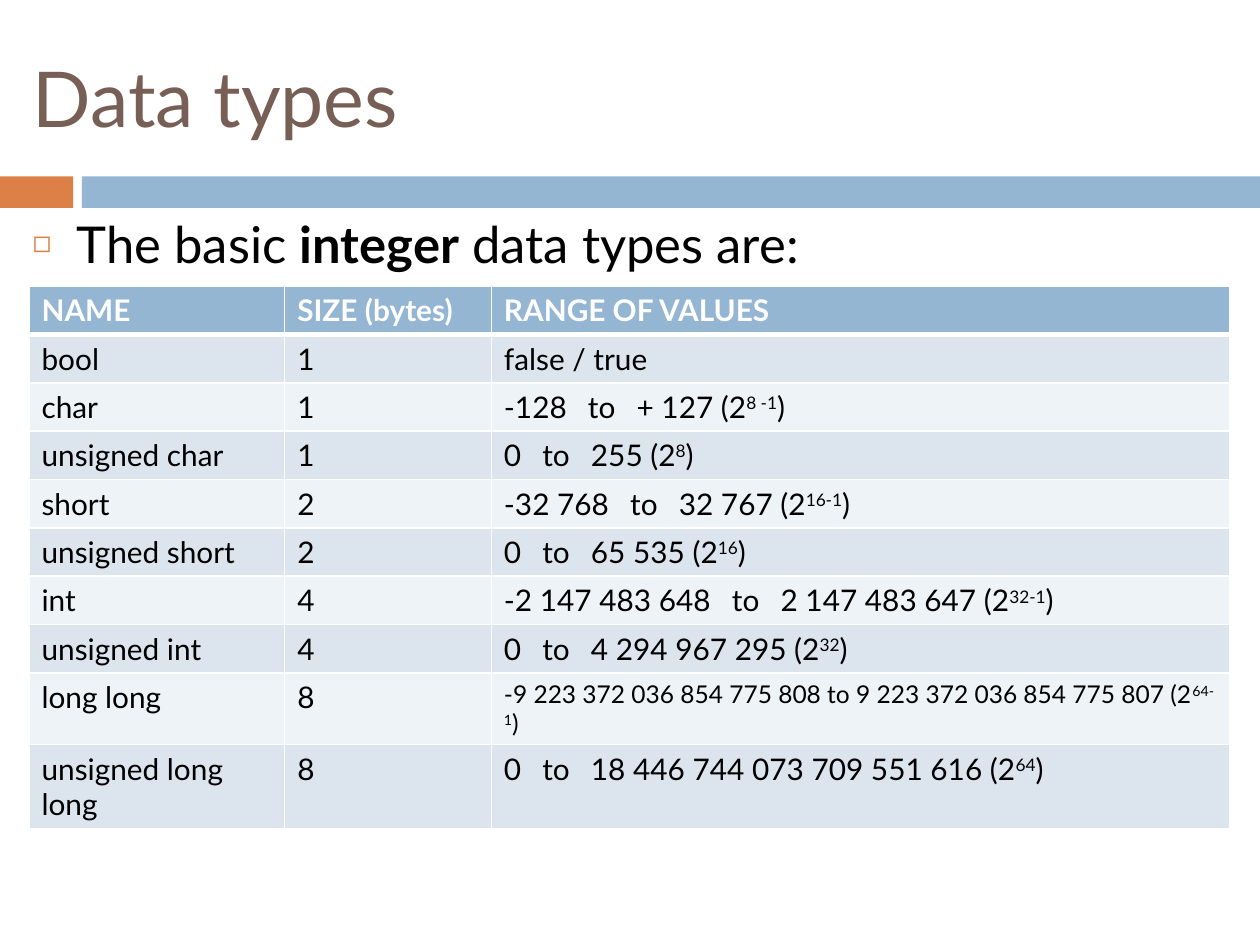
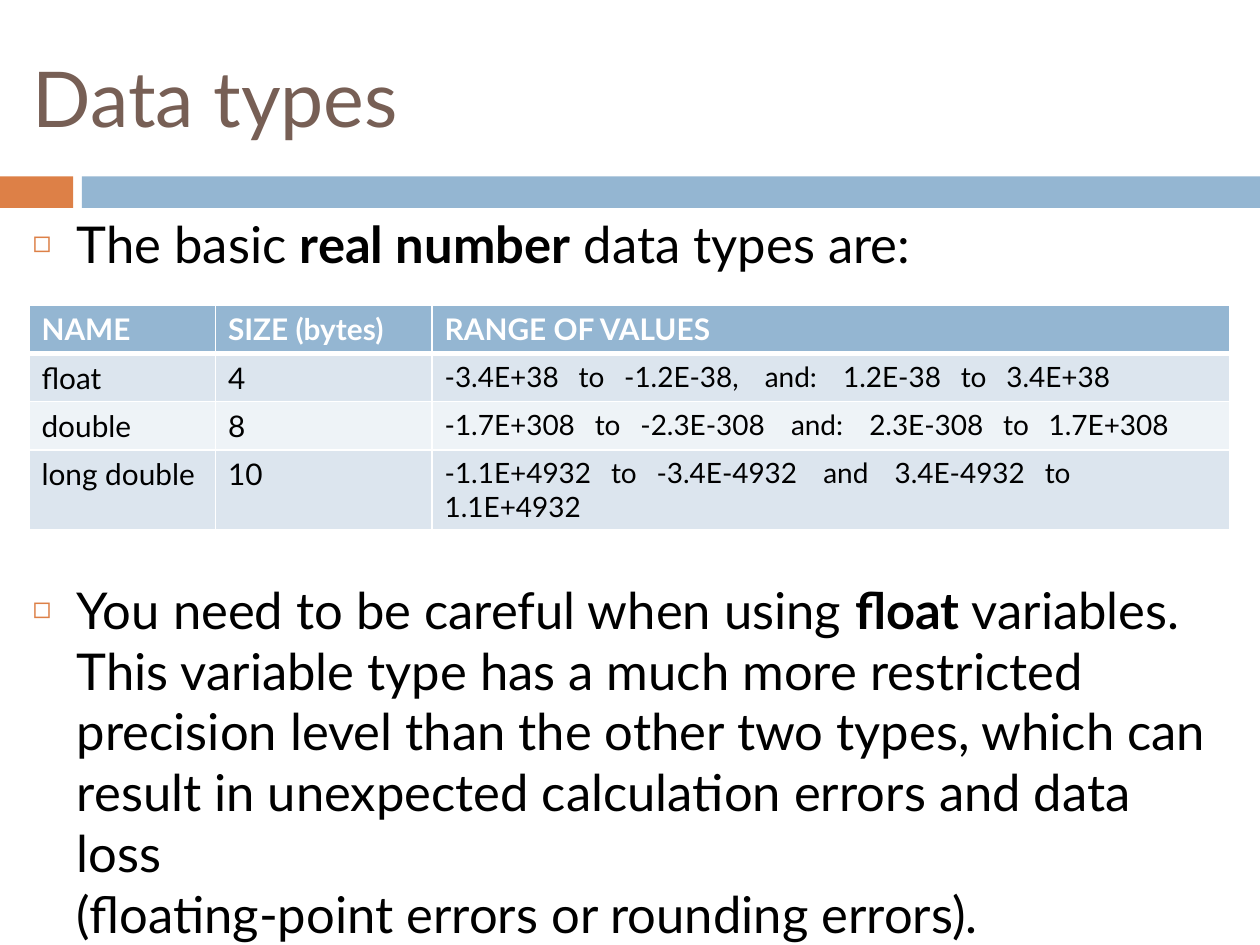
from lxml import etree
from pptx import Presentation
from pptx.dml.color import RGBColor
from pptx.enum.shapes import MSO_SHAPE
from pptx.enum.text import MSO_ANCHOR, MSO_AUTO_SIZE, PP_ALIGN
from pptx.oxml.ns import qn
from pptx.util import Inches, Pt

RECTANGLE = MSO_SHAPE.RECTANGLE
TOP, MIDDLE = MSO_ANCHOR.TOP, MSO_ANCHOR.MIDDLE
LEFT = PP_ALIGN.LEFT
NO_AUTOFIT = MSO_AUTO_SIZE.NONE

FONT = "Lato"
BROWN, ORANGE, BLUE = "775F55", "DD8047", "94B6D2"
BLACK, WHITE = "000000", "FFFFFF"
ROW_FILLS = ("DCE5EE", "EEF3F7")
TITLE_SIZE, BODY_SIZE, CELL_SIZE, REAL_SIZE, SMALL_SIZE = 44, 29, 17, 16, 14
SPACE_WIDTH = 0.226  # width of a space, as a share of the text size

TITLE_BOX = (0.16, 0.23, 9.84, 1.08)
BODY_BOX = (0.16, 1.64, 9.61, 5.86)
BANDS = [((0, 1.4, 0.58, 0.25), ORANGE), ((0.65, 1.4, 9.35, 0.25), BLUE)]
TABLE_LEFT, ROW_HEIGHT = 0.23, 0.37
BULLET_INDENT = 0.35
BOLD = {"bold": True}


def spread(words, size, wide_around=()):
    """Return runs of words with widened spaces between them."""
    runs = [(words[0], {"size": size})]
    for before, word in zip(words, words[1:]):
        extra = 3 if before in wide_around or word in wide_around else 2
        runs.append((" ", {"size": size, "spacing": extra * SPACE_WIDTH * size}))
        runs.append((word, {"size": size}))
    return runs


def integer_range(low, high, power):
    """Return the runs of a range from low to high with its power of two."""
    words = [low, "to", f"{high} (2"]
    return spread(words, CELL_SIZE) + [(power, {"baseline": 30}), ")"]


def real_range(words):
    """Return the runs of a range of real numbers."""
    return spread(words, REAL_SIZE, ("and", "and:"))


SMALL = {"size": SMALL_SIZE}
LONG_LONG_RANGE = [
    ("-9 223 372 036 854 775 808 to 9 223 372 036 854 775 807 (2", SMALL),
    ("64-1", {"size": SMALL_SIZE, "baseline": 30}),
    (")", SMALL),
]
HEADER = ("NAME", "SIZE (bytes)", ["RANGE OF VALUES"])

SLIDES = [
    {
        "title": "Data types",
        "body": [(7, ["The basic ", ("integer", BOLD), " data types are:"])],
        "table_top": 2.27,
        "columns": (2.03, 1.64, 5.86),
        "rows": [
            HEADER,
            ("bool", "1", ["false / true"]),
            ("char", "1", integer_range("-128", "+ 127", "8 -1")),
            ("unsigned char", "1", integer_range("0", "255", "8")),
            ("short", "2", integer_range("-32 768", "32 767", "16-1")),
            ("unsigned short", "2", integer_range("0", "65 535", "16")),
            ("int", "4", integer_range("-2 147 483 648", "2 147 483 647", "32-1")),
            ("unsigned int", "4", integer_range("0", "4 294 967 295", "32")),
            ("long long", "8", LONG_LONG_RANGE),
            ("unsigned long long", "8",
             integer_range("0", "18 446 744 073 709 551 616", "64")),
        ],
    },
    {
        "title": "Data types",
        "body": [
            (7, ["The basic ", ("real number", BOLD), " data types are:"]),
            (174, ["You need to be careful when using ", ("float", BOLD),
                   " variables.\nThis variable type has a much more restricted "
                   "precision level than the other two types, which can result in "
                   "unexpected calculation errors and data loss\n"
                   "(floating-point errors or rounding errors)."]),
        ],
        "table_top": 2.42,
        "columns": (1.48, 1.72, 6.33),
        "middle_cells": [(3, 2)],
        "rows": [
            HEADER,
            ("float", "4", real_range(
                ["-3.4E+38", "to", "-1.2E-38,", "and:", "1.2E-38", "to", "3.4E+38"])),
            ("double", "8", real_range(
                ["-1.7E+308", "to", "-2.3E-308", "and:", "2.3E-308", "to", "1.7E+308"])),
            ("long double", "10", real_range(
                ["-1.1E+4932", "to", "-3.4E-4932", "and", "3.4E-4932", "to",
                 "1.1E+4932"])),
        ],
    },
]


def color(value):
    """Turn a hex string into a colour."""
    return RGBColor.from_string(value)


def paint(fill, value):
    """Make a fill solid in a hex colour."""
    fill.solid()
    fill.fore_color.rgb = color(value)


def place(shape, box):
    """Move a shape to left, top, width and height in inches."""
    shape.left, shape.top, shape.width, shape.height = map(Inches, box)


def add_text(paragraph, text, size=CELL_SIZE, ink=BLACK, bold=False,
             baseline=0, spacing=0):
    """Add formatted text to a paragraph, with a line break at each newline."""
    for index, line in enumerate(text.split("\n")):
        if index:
            paragraph.add_line_break()
        run = paragraph.add_run()
        run.text = line
        run.font.name = FONT
        run.font.size = Pt(size)
        run.font.bold = bold
        run.font.color.rgb = color(ink)
        properties = run.font._element
        if baseline:
            properties.set("baseline", str(baseline * 1000))
        if spacing:
            properties.set("spc", str(round(spacing * 100)))


def add_runs(paragraph, runs, **common):
    """Add plain strings and (text, format) pairs over a common format."""
    for run in runs:
        text, own = (run, {}) if isinstance(run, str) else run
        add_text(paragraph, text, **{**common, **own})


def add_bullet(paragraph):
    """Give a paragraph a hanging indent and a small orange square."""
    properties = paragraph._p.get_or_add_pPr()
    indent = Inches(BULLET_INDENT)
    properties.set("marL", str(indent))
    properties.set("indent", str(-indent))
    bullet_color = etree.SubElement(properties, qn("a:buClr"))
    etree.SubElement(bullet_color, qn("a:srgbClr"), val=ORANGE)
    etree.SubElement(properties, qn("a:buSzPct"), val="60000")
    etree.SubElement(properties, qn("a:buChar"), char="\u25fb")


def set_borders(cell, top, bottom):
    """Draw white cell borders, with top and bottom widths in points."""
    properties = cell._tc.get_or_add_tcPr()
    for side, width in (("L", 1), ("R", 1), ("T", top), ("B", bottom)):
        line = etree.SubElement(properties, qn(f"a:ln{side}"), w=str(Pt(width)))
        fill = etree.SubElement(line, qn("a:solidFill"))
        etree.SubElement(fill, qn("a:srgbClr"), val=WHITE)


def prepare_layout(layout):
    """Set the shared title and body boxes and drop the footers."""
    title, body, *footers = layout.placeholders
    place(title, TITLE_BOX)
    place(body, BODY_BOX)
    for footer in footers:
        footer.element.getparent().remove(footer.element)


def add_bands(layout, slide):
    """Draw the bands once and hand them over to the layout."""
    for box, value in BANDS:
        band = slide.shapes.add_shape(RECTANGLE, *map(Inches, box))
        band.shadow.inherit = False
        paint(band.fill, value)
        band.line.fill.background()
        layout.shapes.element.append(band.element)


def fill_title(shape, text):
    """Write the slide title."""
    frame = shape.text_frame
    frame.auto_size = NO_AUTOFIT
    frame.vertical_anchor = MIDDLE
    frame.paragraphs[0].alignment = LEFT
    add_text(frame.paragraphs[0], text, size=TITLE_SIZE, ink=BROWN)


def fill_body(shape, items):
    """Write the bulleted items, each with its space before."""
    frame = shape.text_frame
    frame.auto_size = NO_AUTOFIT
    frame.vertical_anchor = TOP
    for index, (space_before, runs) in enumerate(items):
        paragraph = frame.add_paragraph() if index else frame.paragraphs[0]
        paragraph.space_before = Pt(space_before)
        add_bullet(paragraph)
        add_runs(paragraph, runs, size=BODY_SIZE)


def add_type_table(slide, rows, columns, top, middle_cells):
    """Add the table of data types with a header and banded rows."""
    table = slide.shapes.add_table(
        len(rows), len(columns), Inches(TABLE_LEFT), Inches(top),
        Inches(sum(columns)), Inches(ROW_HEIGHT * len(rows))).table
    table.horz_banding = False
    for column, width in zip(table.columns, columns):
        column.width = Inches(width)
    for row_index, row in enumerate(rows):
        table.rows[row_index].height = Inches(ROW_HEIGHT)
        is_header = row_index == 0
        for column_index, content in enumerate(row):
            cell = table.cell(row_index, column_index)
            set_borders(cell, top=3 if row_index == 1 else 1,
                        bottom=3 if is_header else 1)
            paint(cell.fill, BLUE if is_header else ROW_FILLS[(row_index - 1) % 2])
            if (row_index, column_index) in middle_cells:
                cell.vertical_anchor = MIDDLE
            runs = [content] if isinstance(content, str) else content
            add_runs(cell.text_frame.paragraphs[0], runs,
                     ink=WHITE if is_header else BLACK, bold=is_header)


def main():
    """Build and save the presentation."""
    presentation = Presentation()
    presentation.slide_width, presentation.slide_height = Inches(10), Inches(7.5)
    layout = presentation.slide_layouts[1]
    prepare_layout(layout)
    for index, content in enumerate(SLIDES):
        slide = presentation.slides.add_slide(layout)
        if index == 0:
            add_bands(layout, slide)
        fill_title(slide.shapes.title, content["title"])
        fill_body(slide.placeholders[1], content["body"])
        add_type_table(slide, content["rows"], content["columns"],
                       content["table_top"], content.get("middle_cells", ()))
    presentation.save("out.pptx")


main()
